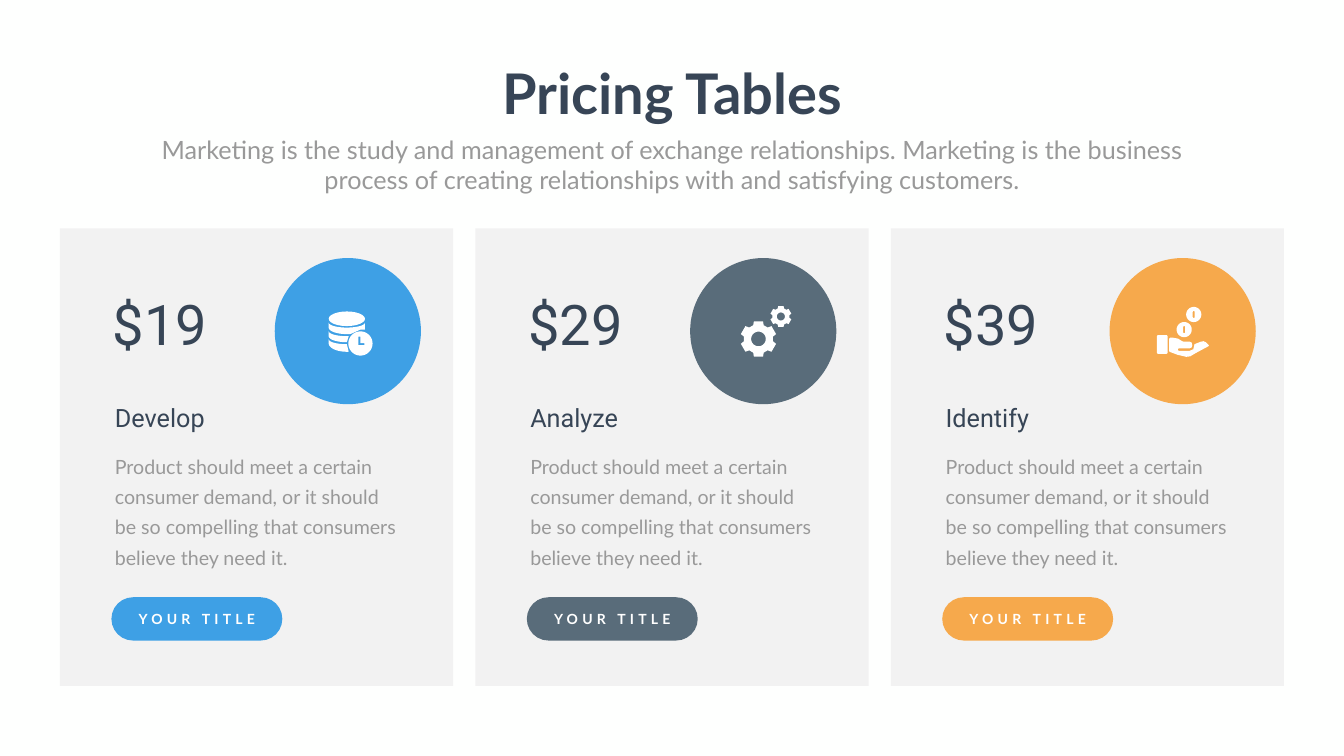
from dataclasses import dataclass
from math import cos, radians, sin
from typing import Callable

from pptx import Presentation
from pptx.dml.color import RGBColor
from pptx.enum.shapes import MSO_SHAPE as Shape
from pptx.enum.text import MSO_ANCHOR as Anchor, MSO_AUTO_SIZE as AutoSize, PP_ALIGN as Align
from pptx.util import Inches, Pt

Point = tuple[float, float]
Outline = list[Point]

CELL = 0.1
GRID_COLUMNS, GRID_ROWS = 266.6, 150
MARGIN, GUTTER, CARD_COUNT = 11.9, 4.4, 3
CARD_TOP, CARD_HEIGHT = 45.3, 90.8
CARD_WIDTH = (GRID_COLUMNS - 2 * MARGIN - (CARD_COUNT - 1) * GUTTER) / CARD_COUNT

COLORS = {
    "background": "FEFFFE",
    "card": "F2F2F2",
    "dark": "374556",
    "muted": "999999",
    "white": "FFFFFF",
    "blue": "3EA0E5",
    "slate": "596C7A",
    "orange": "F6A94C",
}
DESCRIPTION = (
    "Product should meet a certain consumer demand, or it should "
    "be so compelling that consumers believe they need it."
)
SUBTITLE = (
    "Marketing is the study and management of exchange relationships. "
    "Marketing is the business process of creating relationships with "
    "and satisfying customers."
)
HAND: Outline = [
    (19.6, 17.2), (19.1, 16.7), (18.6, 16.5), (18.1, 16.6), (16.8, 17.1),
    (16.8, 17.3), (16.6, 18.1), (15.9, 18.4), (13.7, 18.4), (13.5, 18.2),
    (13.7, 17.9), (15.9, 17.9), (16.3, 17.7), (16.4, 17.3), (16.3, 16.8),
    (15.9, 16.6), (14.7, 16.6), (14.4, 16.5), (13.6, 16), (12.6, 15.8),
    (12, 15.8), (11.8, 16), (11.8, 18.4), (11.9, 18.6), (13.5, 19.2),
    (15.2, 19.6), (16, 19.5), (17, 18.9), (19.6, 17.5), (19.7, 17.3),
]
CLOCK_HANDS: Outline = [
    (16.6, 15.6), (17, 15.6), (17, 16.9), (17.8, 16.9), (17.8, 17.3), (16.6, 17.3),
]


def cells(count: float) -> int:
    return Inches(count * CELL)


def rgb(name: str) -> RGBColor:
    return RGBColor.from_string(COLORS[name])


@dataclass(frozen=True)
class Box:
    left: float
    top: float
    width: float
    height: float

    def emu(self) -> tuple[int, ...]:
        return tuple(cells(n) for n in (self.left, self.top, self.width, self.height))

    def inside(self, left: float, top: float, width: float, height: float) -> "Box":
        return Box(self.left + left, self.top + top, width, height)


@dataclass(frozen=True)
class Card:
    name: str
    price: str
    color: str
    circle_left: float
    draw_icon: Callable


def paint(shape, color: str) -> None:
    shape.fill.solid()
    shape.fill.fore_color.rgb = rgb(color)
    shape.line.fill.background()
    shape.shadow.inherit = False


def add_preset(slide, kind: Shape, box: Box, color: str):
    shape = slide.shapes.add_shape(kind, *box.emu())
    paint(shape, color)
    return shape


def write(frame, text: str, *, size: float, color: str, font: str = "Lato",
          bold: bool = False, align: Align = Align.LEFT, anchor: Anchor = Anchor.TOP,
          line_points: float = 0, tracking: int = 0, wrap: bool = True,
          insets: Point = (1, 0.5)) -> None:
    frame.word_wrap = wrap
    frame.auto_size = AutoSize.NONE
    frame.vertical_anchor = anchor
    frame.margin_left = frame.margin_right = cells(insets[0])
    frame.margin_top = frame.margin_bottom = cells(insets[1])
    paragraph = frame.paragraphs[0]
    paragraph.alignment = align
    paragraph.space_before = Pt(0)
    paragraph.line_spacing = Pt(line_points) if line_points else 1.0
    run = paragraph.add_run()
    run.text = text
    run.font.name, run.font.size, run.font.bold = font, Pt(size), bold
    run.font.color.rgb = rgb(color)
    if tracking:
        run.font._element.set("spc", str(tracking * 100))


def add_text(slide, box: Box, text: str, **style) -> None:
    write(slide.shapes.add_textbox(*box.emu()).text_frame, text, **style)


def arc(x: float, y: float, radius_x: float, radius_y: float,
        start: int = 0, end: int = 354, step: int = 6) -> Outline:
    return [(x + radius_x * cos(radians(angle)), y + radius_y * sin(radians(angle)))
            for angle in range(start, end + (1 if step > 0 else -1), step)]


def add_outlines(slide, origin: Box, *outlines: Outline) -> None:
    placed = [[(cells(origin.left + x), cells(origin.top + y)) for x, y in outline]
              for outline in outlines]
    builder = slide.shapes.build_freeform(*placed[0][0])
    builder.add_line_segments(placed[0][1:])
    for hole in placed[1:]:
        builder.move_to(*hole[0])
        builder.add_line_segments(hole[1:])
    paint(builder.convert_to_shape(), "white")


def draw_database(slide, circle: Box) -> None:
    center, radius = 14.3, 3.6
    add_preset(slide, Shape.OVAL, circle.inside(10.7, 10.6, 7.2, 2.9), "white")
    bands = [
        (12.8, 1, 1.3, 0, 78, [(17.9, 14.2), (17, 14.2)]),
        (14.5, 1, 1.2, 84, 90, []),
        (16.1, 0.8, 1.7, 90, 84, []),
    ]
    for top, drop, depth, upper_end, lower_start, corner in bands:
        upper = arc(center, top, radius, 1, 180, upper_end, -6)
        lower = arc(center, top + drop, radius, depth, lower_start, 180)
        add_outlines(slide, circle, upper + corner + lower)
    add_outlines(slide, circle, arc(17, 16.95, 2.4, 2.4), CLOCK_HANDS)


def gear(x: float, y: float, radius: float, teeth: int = 6) -> Outline:
    profile = [(-21, 0.82), (-14.5, 1.02), (14.5, 1.02), (21, 0.82)]
    return [(x + radius * share * sin(radians(angle)), y - radius * share * cos(radians(angle)))
            for tooth in range(teeth)
            for offset, share in profile
            for angle in [tooth * 360 / teeth + offset]]


def draw_gears(slide, circle: Box) -> None:
    for x, y, radius, hole in [(13.55, 16.05, 3.55, 1.45), (18, 11.6, 2.1, 0.8)]:
        add_outlines(slide, circle, gear(x, y, radius), arc(x, y, hole, hole))


def draw_hand(slide, circle: Box) -> None:
    cuff = add_preset(slide, Shape.ROUNDED_RECTANGLE, circle.inside(9.4, 15.3, 2.1, 3.7), "white")
    cuff.adjustments[0] = 0.1
    add_outlines(slide, circle, HAND)
    for x, y in [(16.7, 11.2), (14.8, 14.2)]:
        slot = arc(x, y - 0.5, 0.2, 0.2, 180, 360) + arc(x, y + 0.5, 0.2, 0.2, 0, 180)
        add_outlines(slide, circle, arc(x, y, 1.5, 1.5), slot)


def draw_card(slide, index: int, card: Card) -> None:
    area = Box(MARGIN + index * (CARD_WIDTH + GUTTER), CARD_TOP, CARD_WIDTH, CARD_HEIGHT)
    add_preset(slide, Shape.RECTANGLE, area, "card")
    add_text(slide, area.inside(9.5, 11.6, 28.6, 14.5), card.price,
             size=80, font="Roboto", color="dark")
    add_text(slide, area.inside(9.9, 34, 20.5, 7.1), card.name,
             size=36, font="Roboto", color="dark")
    add_text(slide, area.inside(8.5, 42.5, 61, 25.9), DESCRIPTION,
             size=28, color="muted", line_points=43, insets=(2.4, 1.2))
    button = add_preset(slide, Shape.ROUNDED_RECTANGLE, area.inside(10.2, 73.2, 33.9, 8.6), card.color)
    button.adjustments[0] = 0.5
    write(button.text_frame, "YOUR TITLE", size=20, color="white", bold=True,
          align=Align.CENTER, anchor=Anchor.MIDDLE, tracking=6, wrap=False)
    circle = area.inside(card.circle_left, 5.9, 29, 29)
    add_preset(slide, Shape.OVAL, circle, card.color)
    card.draw_icon(slide, circle)


def fill_placeholder(shape, box: Box, text: str, **style) -> None:
    shape.left, shape.top, shape.width, shape.height = box.emu()
    write(shape.text_frame, text, align=Align.CENTER, **style)


def main() -> None:
    presentation = Presentation()
    presentation.slide_width, presentation.slide_height = cells(GRID_COLUMNS), cells(GRID_ROWS)
    slide = presentation.slides.add_slide(presentation.slide_layouts[0])
    slide.background.fill.solid()
    slide.background.fill.fore_color.rgb = rgb("background")
    title, subtitle = slide.placeholders
    fill_placeholder(title, Box(97.2, 11.2, 72.3, 14.5), "Pricing Tables",
                     size=80, color="dark", bold=True, wrap=False)
    fill_placeholder(subtitle, Box(29.2, 26.1, 208.2, 13.1), SUBTITLE, size=36, color="muted")
    cards = [
        Card("Develop", "$19", "blue", 42.6, draw_database),
        Card("Analyze", "$29", "slate", 42.6, draw_gears),
        Card("Identify", "$39", "orange", 43.4, draw_hand),
    ]
    for index, card in enumerate(cards):
        draw_card(slide, index, card)
    presentation.save("out.pptx")


if __name__ == "__main__":
    main()
